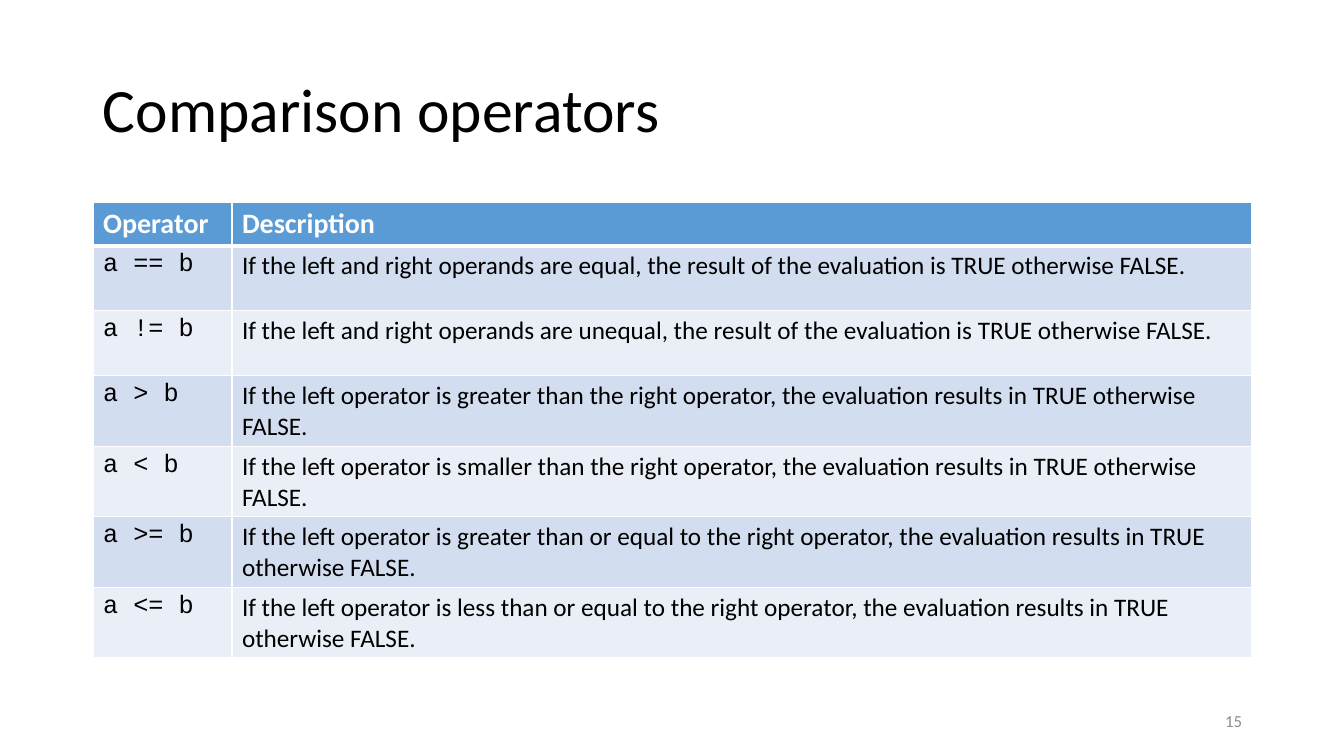
from dataclasses import dataclass

from lxml import etree
from pptx import Presentation
from pptx.dml.color import RGBColor
from pptx.enum.text import MSO_ANCHOR, PP_ALIGN
from pptx.oxml.ns import qn
from pptx.slide import Slide
from pptx.table import _Cell
from pptx.text.text import _Paragraph
from pptx.util import Emu, Pt

LEFT, RIGHT = PP_ALIGN.LEFT, PP_ALIGN.RIGHT
MIDDLE = MSO_ANCHOR.MIDDLE

WHITE = RGBColor(0xFF, 0xFF, 0xFF)
BLACK = RGBColor(0x00, 0x00, 0x00)
GREY = RGBColor(0x8C, 0x8C, 0x8C)
HEADER_BLUE = RGBColor(0x5B, 0x9B, 0xD5)
BANDS = (RGBColor(0xD2, 0xDE, 0xEF), RGBColor(0xEA, 0xEF, 0xF7))

BODY_FONT, CODE_FONT = "Calibri", "Courier New"
EMU_PER_PIXEL = 914400 / 100.8
PAGE_WIDTH, PAGE_HEIGHT = 1344, 756
TABLE_LEFT, TABLE_TOP = 93, 202
COLUMN_WIDTHS = (139, 1020)
HEADER_HEIGHT, ROW_HEIGHT = 36, 65


@dataclass(frozen=True)
class Style:
    """Look of one paragraph."""
    size: int
    color: RGBColor = BLACK
    font: str = BODY_FONT
    bold: bool = False
    align: PP_ALIGN = LEFT
    spacing: float = 1.0


@dataclass(frozen=True)
class Label:
    """A free text box, placed in pixels."""
    text: str
    left: int
    top: int
    width: int
    height: int
    style: Style


@dataclass(frozen=True)
class Operator:
    """One body row of the table."""
    code: str
    description: str


HEADER_STYLE = Style(20, WHITE, bold=True)
CODE_STYLE = Style(18, font=CODE_FONT)
DESCRIPTION_STYLE = Style(18)

LABELS = (
    Label("Comparison operators", 93, 40, 1159, 146, Style(44, spacing=0.9)),
    Label("15", 950, 701, 302, 40, Style(12, GREY, align=RIGHT)),
)
HEADINGS = ("Operator", "Description")


def equality(relation: str) -> str:
    """Describe an equality test."""
    return (f"If the left and right operands are {relation}, "
            "the result of the evaluation is TRUE otherwise FALSE.")


def ordering(relation: str) -> str:
    """Describe an ordering test."""
    return (f"If the left operator is {relation} the right operator, "
            "the evaluation results in TRUE otherwise FALSE.")


OPERATORS = (
    Operator("a == b", equality("equal")),
    Operator("a != b", equality("unequal")),
    Operator("a > b", ordering("greater than")),
    Operator("a < b", ordering("smaller than")),
    Operator("a >= b", ordering("greater than or equal to")),
    Operator("a <= b", ordering("less than or equal to")),
)


def px(pixels: int) -> Emu:
    """Turn pixels into EMU."""
    return Emu(round(pixels * EMU_PER_PIXEL))


def write(paragraph: _Paragraph, text: str, style: Style) -> None:
    """Fill and style a paragraph."""
    paragraph.text = text
    paragraph.alignment = style.align
    paragraph.line_spacing = style.spacing
    font = paragraph.font
    font.name, font.size, font.bold = style.font, Pt(style.size), style.bold
    font.color.rgb = style.color


def add_label(page: Slide, label: Label) -> None:
    """Draw a vertically centred text box."""
    box = page.shapes.add_textbox(px(label.left), px(label.top), px(label.width), px(label.height))
    frame = box.text_frame
    frame.word_wrap = True
    frame.vertical_anchor = MIDDLE
    write(frame.paragraphs[0], label.text, label.style)


def add_borders(cell: _Cell, top: int, bottom: int) -> None:
    """Add white cell borders, with widths in points."""
    properties = cell._tc.get_or_add_tcPr()
    for side, width in (("L", 1), ("R", 1), ("T", top), ("B", bottom)):
        line = etree.SubElement(properties, qn(f"a:ln{side}"), w=str(Pt(width)))
        fill = etree.SubElement(line, qn("a:solidFill"))
        etree.SubElement(fill, qn("a:srgbClr"), val=str(WHITE))


def fill_cell(cell: _Cell, text: str, style: Style, color: RGBColor,
              top: int = 1, bottom: int = 1) -> None:
    """Write one cell with its borders and fill."""
    write(cell.text_frame.paragraphs[0], text, style)
    add_borders(cell, top, bottom)
    cell.fill.solid()
    cell.fill.fore_color.rgb = color


def add_operator_table(page: Slide) -> None:
    """Draw the header and the banded operator rows."""
    heights = [HEADER_HEIGHT] + [ROW_HEIGHT] * len(OPERATORS)
    table = page.shapes.add_table(
        len(heights), len(COLUMN_WIDTHS), px(TABLE_LEFT), px(TABLE_TOP),
        px(sum(COLUMN_WIDTHS)), px(sum(heights))).table
    for column, width in zip(table.columns, COLUMN_WIDTHS):
        column.width = px(width)
    for row, height in zip(table.rows, heights):
        row.height = px(height)
    for index, heading in enumerate(HEADINGS):
        fill_cell(table.cell(0, index), heading, HEADER_STYLE, HEADER_BLUE, bottom=3)
    for index, operator in enumerate(OPERATORS):
        band = BANDS[index % len(BANDS)]
        top = 3 if index == 0 else 1
        code_cell, description_cell = table.rows[index + 1].cells
        fill_cell(code_cell, operator.code, CODE_STYLE, band, top)
        fill_cell(description_cell, operator.description, DESCRIPTION_STYLE, band, top)


def main() -> None:
    """Build and save the deck."""
    deck = Presentation()
    deck.slide_width, deck.slide_height = px(PAGE_WIDTH), px(PAGE_HEIGHT)
    page = deck.slides.add_slide(deck.slide_layouts[6])
    for label in LABELS:
        add_label(page, label)
    add_operator_table(page)
    deck.save("out.pptx")


main()
